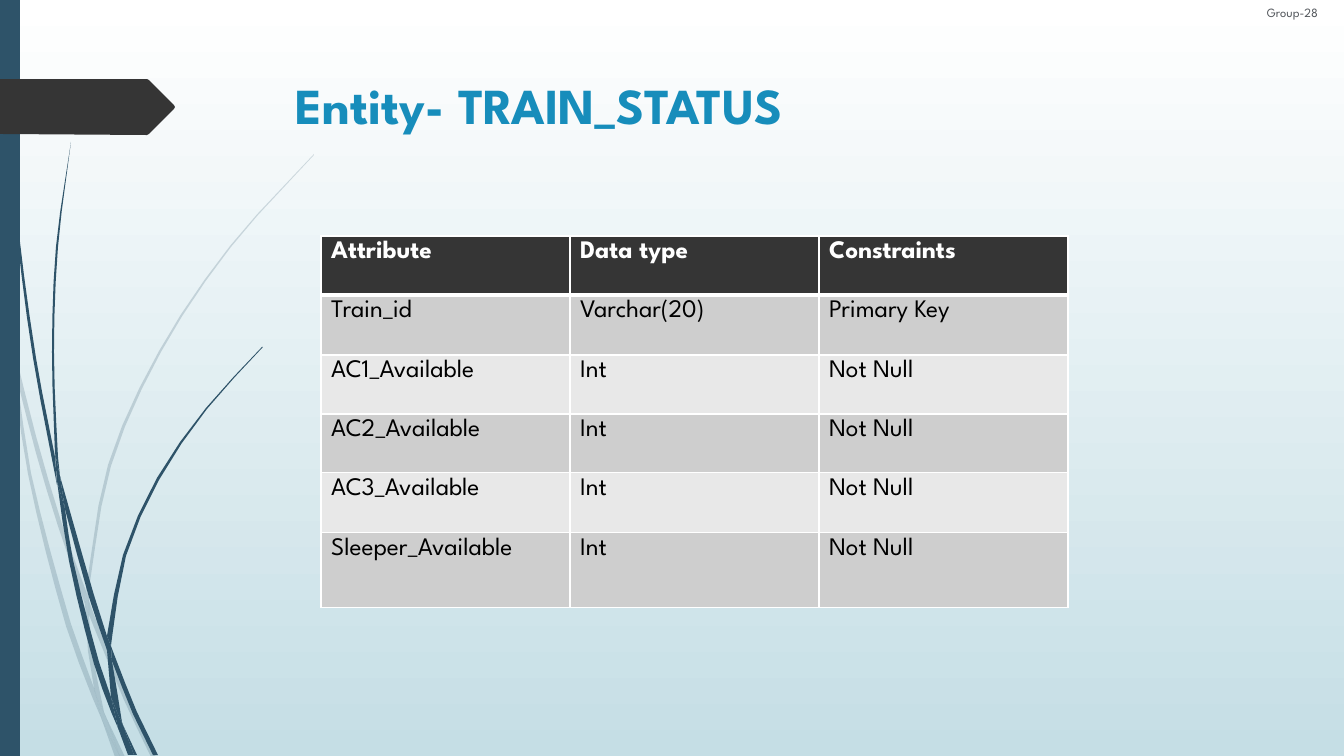
import math
from dataclasses import dataclass
from itertools import pairwise

from lxml import etree
from pptx import Presentation
from pptx import util as u
from pptx.dml.color import RGBColor
from pptx.enum import shapes, text
from pptx.oxml import ns

WIDTH, HEIGHT = 1344, 756
EMU_PER_PIXEL = 12192000 / WIDTH
FONT = "League Spartan"
NAVY, CHARCOAL, BLUE, GREY = "2E5369", "353535", "178DBB", "53575C"
WHITE, BLACK, SKY = "FFFFFF", "000000", "C5DEE5"
BANDS = ("CECECE", "E8E8E8")
LONGEST_CHORD = 50

Point = tuple[int, int]


@dataclass(frozen=True)
class Wisp:
    """A closed blade of grass: smooth edges joined at corners."""
    edges: tuple[tuple[Point, ...], ...]


def wisp(*edges: tuple[Point, ...]) -> Wisp:
    """Collect the edges of one blade."""
    return Wisp(edges)


PALE_WISPS = (
    wisp(((11, 353), (9, 325), (0, 284)), ((0, 301), (10, 347))),
    wisp(((86, 591), (62, 524), (36, 436), (14, 348)),
         ((17, 379), (36, 453), (58, 526), (85, 604))),
    wisp(((156, 757), (128, 698), (93, 612), (89, 601)),
         ((89, 615), (124, 700), (151, 757))),
    wisp(((120, 757), (125, 757)), ((106, 717),)),
    wisp(((102, 720), (100, 713), (94, 688), (71, 624), (31, 473), (17, 379), (11, 353)),
         ((11, 353), (28, 474), (66, 626), (93, 699))),
    wisp(((85, 604), (88, 651), (94, 688), (97, 698), (106, 717)),
         ((104, 712), (92, 651), (89, 615))),
    wisp(((89, 601), (89, 589), (111, 466), (161, 352), (231, 247), (314, 155)),
         ((314, 154), (230, 246), (159, 351), (108, 465), (86, 589))),
    wisp(((102, 720), (115, 757)), ((120, 757),)),
    wisp(((89, 615), (89, 601)), ((86, 591), (85, 604))),
    wisp(((94, 688), (100, 713), (102, 720), (120, 757)), ((106, 717), (97, 698))),
)
DARK_WISPS = (
    wisp(((3, 0), (7, 111), (17, 235), (33, 358), (57, 485)),
         ((55, 457), (36, 358), (19, 234), (8, 110), (4, 0))),
    wisp(((65, 509), (89, 597), (107, 650)), ((107, 636), (94, 595), (60, 476))),
    wisp(((111, 646), (114, 654), (137, 712), (158, 755)),
         ((153, 755), (133, 714), (112, 661))),
    wisp(((57, 481), (69, 561), (94, 664), (112, 714), (118, 728)),
         ((117, 723), (111, 697), (99, 662), (73, 560), (65, 509))),
    wisp(((60, 476), (58, 457), (54, 352), (58, 247), (71, 142)),
         ((71, 142), (56, 247), (52, 352), (55, 453))),
    wisp(((134, 755), (137, 755)), ((123, 725),)),
    wisp(((57, 481), (65, 509)), ((60, 476), (55, 453))),
    wisp(((111, 646), (112, 638), (126, 556), (159, 480), (207, 409), (263, 347)),
         ((262, 347), (206, 408), (157, 478), (123, 555), (107, 636))),
    wisp(((118, 728), (128, 755)), ((132, 755),)),
    wisp(((107, 650), (111, 697), (117, 712), (123, 725)),
         ((122, 722), (112, 661), (110, 656))),
    wisp(((107, 650), (112, 661)), ((111, 646), (107, 636))),
    wisp(((111, 697), (117, 723), (118, 728), (131, 755)),
         ((134, 755), (123, 725), (117, 712))),
)
ARROW = ((0, 79), (147, 79), (149, 80), (174, 105), (175, 107), (174, 109),
         (149, 134), (147, 135), (0, 134))

TABLE_LEFT, COLUMN_WIDTH = 321, 249
ROW_EDGES = (236, 295, 355, 414, 473, 533, 608)
ROWS = (
    ("Attribute", "Data type", "Constraints"),
    ("Train_id", "Varchar(20)", "Primary Key"),
    *((f"{name}_Available", "Int", "Not Null") for name in ("AC1", "AC2", "AC3", "Sleeper")),
)


def px(length: float) -> u.Emu:
    """Convert pixels to EMU."""
    return u.Emu(round(length * EMU_PER_PIXEL))


def rgb(code: str) -> RGBColor:
    """Convert a hex string to a colour."""
    return RGBColor.from_string(code)


def paint(shape, color: str, alpha: int = 100) -> None:
    """Fill a shape flatly, without line or shadow."""
    shape.shadow.inherit = False
    shape.line.fill.background()
    shape.fill.solid()
    shape.fill.fore_color.rgb = rgb(color)
    if alpha < 100:
        tint = shape.fill._xPr.find(".//" + ns.qn("a:srgbClr"))
        etree.SubElement(tint, ns.qn("a:alpha"), val=str(alpha * 1000))


def smooth(edge: tuple[Point, ...]) -> list[tuple[float, float]]:
    """Sample a smooth curve through an edge, more finely where knots lie far apart."""
    knots = [complex(*point) for point in edge]
    last = len(knots) - 1
    headings = []
    for i in range(last + 1):
        span = knots[min(i + 1, last)] - knots[max(i - 1, 0)]
        headings.append(span / (abs(span) or 1))
    curve = [knots[0]]
    for (a, heading_a), (b, heading_b) in pairwise(zip(knots, headings)):
        reach = abs(b - a) / 3
        c, d = a + heading_a * reach, b - heading_b * reach
        steps = math.ceil(abs(b - a) / LONGEST_CHORD)
        for step in range(1, steps + 1):
            t = step / steps
            s = 1 - t
            curve.append(s**3 * a + 3 * s * s * t * c + 3 * s * t * t * d + t**3 * b)
    return [(knot.real, knot.imag) for knot in curve]


def add_outline(page, points, color: str, alpha: int = 100) -> None:
    """Draw a closed filled outline."""
    corners = [(px(x), px(y)) for x, y in points]
    builder = page.shapes.build_freeform(*corners[0])
    builder.add_line_segments(corners[1:], close=True)
    paint(builder.convert_to_shape(), color, alpha)


def write(frame, content: str, *, size: int, color: str, bold: bool = False,
          align=text.PP_ALIGN.LEFT) -> None:
    """Put one formatted paragraph into a text frame."""
    para = frame.paragraphs[0]
    para.alignment = align
    span = para.add_run()
    span.text = content
    span.font.name, span.font.size, span.font.bold = FONT, u.Pt(size), bold
    span.font.color.rgb = rgb(color)


def add_label(page, content: str, bounds: tuple[int, int, int, int], **style) -> None:
    """Add a wrapped text box at left, top, width, height."""
    box = page.shapes.add_textbox(*map(px, bounds))
    box.text_frame.word_wrap = True
    write(box.text_frame, content, **style)


def add_borders(cell, widths: dict[str, int]) -> None:
    """Give a cell white borders of the given widths in points."""
    properties = cell._tc.get_or_add_tcPr()
    for index, (side, width) in enumerate(widths.items()):
        line = etree.Element(ns.qn(f"a:ln{side}"), w=str(u.Pt(width)))
        fill = etree.SubElement(line, ns.qn("a:solidFill"))
        etree.SubElement(fill, ns.qn("a:srgbClr"), val=WHITE)
        properties.insert(index, line)


def add_attribute_table(page) -> None:
    """Draw the table of attributes."""
    columns = len(ROWS[0])
    table = page.shapes.add_table(
        len(ROWS), columns, px(TABLE_LEFT), px(ROW_EDGES[0]),
        px(columns * COLUMN_WIDTH), px(ROW_EDGES[-1] - ROW_EDGES[0])).table
    for column in table.columns:
        column.width = px(COLUMN_WIDTH)
    for r, (top, bottom) in enumerate(pairwise(ROW_EDGES)):
        table.rows[r].height = px(bottom - top)
        header = r == 0
        for c, content in enumerate(ROWS[r]):
            cell = table.cell(r, c)
            cell.fill.solid()
            cell.fill.fore_color.rgb = rgb(CHARCOAL if header else BANDS[(r - 1) % 2])
            add_borders(cell, {"L": 1, "R": 1, "T": 3 if r == 1 else 1, "B": 3 if header else 1})
            write(cell.text_frame, content, size=18, bold=header,
                  color=WHITE if header else BLACK)


def set_background(page) -> None:
    """Shade the page from white down to sky blue."""
    fill = page.background.fill
    fill.gradient()
    fill.gradient_angle = 270
    for stop, color in zip(fill.gradient_stops, (WHITE, SKY)):
        stop.color.rgb = rgb(color)


deck = Presentation()
deck.slide_width, deck.slide_height = px(WIDTH), px(HEIGHT)
page = deck.slides.add_slide(deck.slide_layouts[6])
set_background(page)
for wisps, alpha in ((PALE_WISPS, 20), (DARK_WISPS, 100)):
    for blade in wisps:
        outline = [point for edge in blade.edges for point in smooth(edge)]
        add_outline(page, outline, NAVY, alpha)
side_bar = page.shapes.add_shape(shapes.MSO_SHAPE.RECTANGLE, 0, 0, px(20), px(HEIGHT))
paint(side_bar, NAVY)
add_outline(page, ARROW, CHARCOAL)
add_label(page, "Entity- TRAIN_STATUS", (286, 69, 983, 141), size=36, color=BLUE, bold=True)
add_attribute_table(page)
add_label(page, "Group-28", (1241, 0, 103, 25), size=9, color=GREY, align=text.PP_ALIGN.CENTER)
deck.save("out.pptx")
